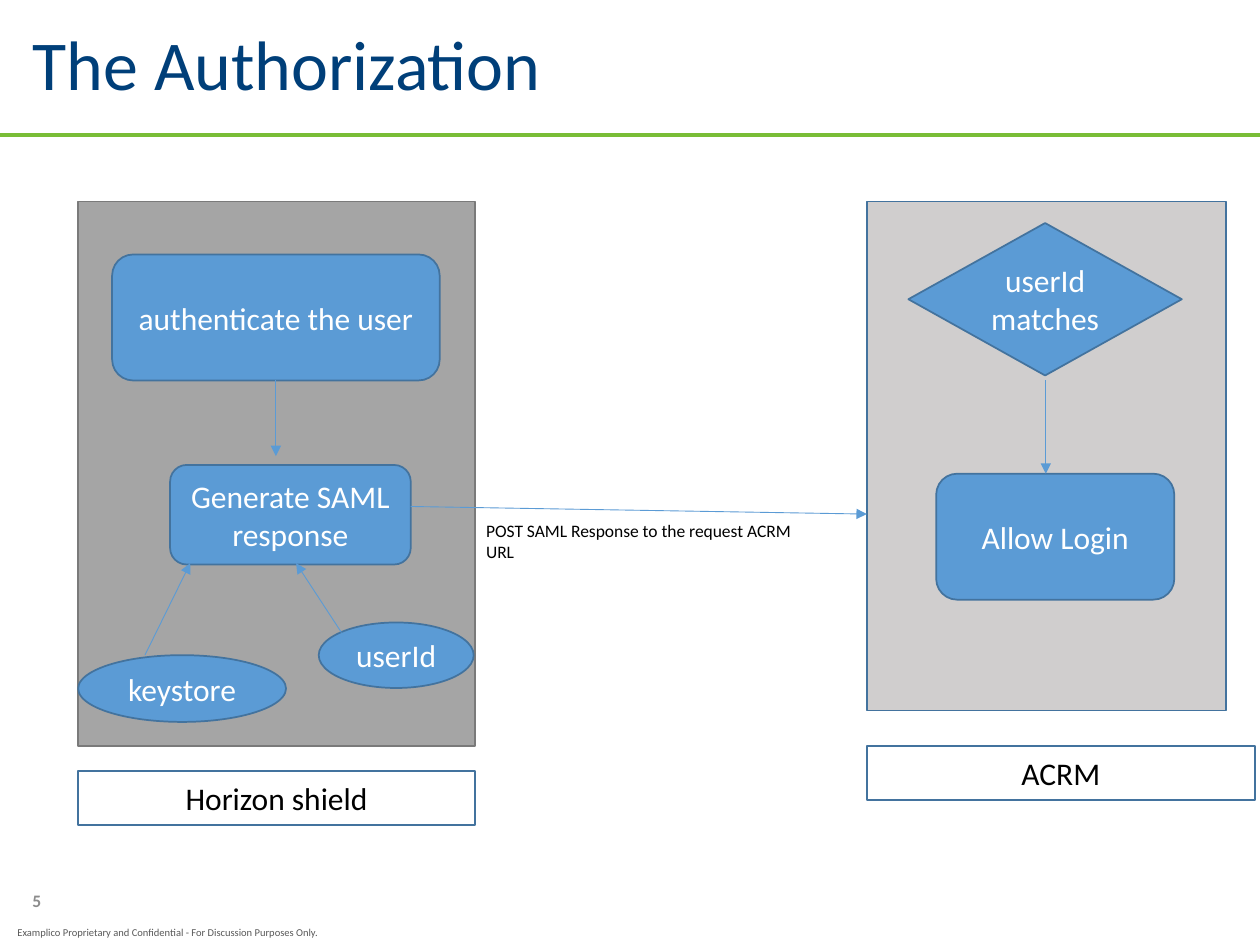
from lxml.etree import SubElement
from pptx import Presentation
from pptx.dml.color import RGBColor
from pptx.enum.shapes import MSO_CONNECTOR, MSO_SHAPE
from pptx.enum.text import MSO_ANCHOR, PP_ALIGN
from pptx.oxml.ns import qn
from pptx.util import Inches, Pt

WHITE = RGBColor(0xFF, 0xFF, 0xFF)
BLACK = RGBColor(0, 0, 0)
NAVY = RGBColor(0x00, 0x3F, 0x79)
GREEN = RGBColor(0x79, 0xBD, 0x36)
BLUE = RGBColor(0x5B, 0x9B, 0xD5)
DARK_BLUE = RGBColor(0x43, 0x73, 0x9E)
GRAY = RGBColor(0xA5, 0xA5, 0xA5)
DARK_GRAY = RGBColor(0x7A, 0x7A, 0x7A)
LIGHT_GRAY = RGBColor(0xD0, 0xCE, 0xCE)
FOOTER_GRAY = RGBColor(0x59, 0x59, 0x59)
NUMBER_GRAY = RGBColor(0x8C, 0x8C, 0x8C)

LEFT_PANEL, RIGHT_PANEL, PANEL_TOP = 0.62, 6.88, 1.6


class FlowPage:
    font_name = "Calibri"

    def __init__(self, page):
        self.page = page

    def set_text(self, frame, text, size, color, align=PP_ALIGN.LEFT, bold=False):
        frame.text = text
        for para in frame.paragraphs:
            para.alignment = align
            para.font.name = self.font_name
            para.font.size = Pt(size)
            para.font.color.rgb = color
            para.font.bold = bold

    def title(self, text, *place):
        box = self.page.shapes.title
        box.left, box.top, box.width, box.height = map(Inches, place)
        frame = box.text_frame
        self.set_text(frame, text, 40, NAVY)
        frame.vertical_anchor = MSO_ANCHOR.MIDDLE
        frame.paragraphs[0].line_spacing = 0.9

    def label(self, text, place, size, color, align=PP_ALIGN.LEFT, bold=False,
              wrap=True, anchor=MSO_ANCHOR.TOP):
        frame = self.page.shapes.add_textbox(*map(Inches, place)).text_frame
        frame.word_wrap = wrap
        frame.vertical_anchor = anchor
        self.set_text(frame, text, size, color, align, bold)

    def shape(self, kind, *place, text="", fill=BLUE, line=DARK_BLUE, color=WHITE):
        shape = self.page.shapes.add_shape(kind, *map(Inches, place))
        shape.shadow.inherit = False
        shape.fill.solid()
        shape.fill.fore_color.rgb = fill
        shape.line.color.rgb = line
        shape.line.width = Pt(1)
        if text:
            shape.text_frame.vertical_anchor = MSO_ANCHOR.MIDDLE
            self.set_text(shape.text_frame, text, 18, color, PP_ALIGN.CENTER)
        return shape

    def line(self, *ends, color=BLUE, width=0.5):
        line = self.page.shapes.add_connector(MSO_CONNECTOR.STRAIGHT, *map(Inches, ends))
        line.line.color.rgb = color
        line.line.width = Pt(width)
        SubElement(line._element.spPr, qn("a:effectLst"))
        return line

    def arrow(self, *ends):
        arrow = self.line(*ends)
        outline = arrow._element.spPr.find(qn("a:ln"))
        SubElement(outline, qn("a:tailEnd"), type="triangle")
        return arrow


def main():
    deck = Presentation()
    deck.slide_width, deck.slide_height = Inches(10), Inches(7.5)
    flow = FlowPage(deck.slides.add_slide(deck.slide_layouts[5]))

    flow.line(0, 1.07, 10, 1.07, color=GREEN, width=2.25)
    flow.label("Examplico Proprietary and Confidential - For Discussion Purposes Only.",
               (0, 7.3, 2.66, 0.2), 6, FOOTER_GRAY, align=PP_ALIGN.CENTER)
    flow.title("The Authorization", 0.16, 0.19, 9.37, 0.7)
    flow.label("5", (0.16, 6.95, 0.46, 0.4), 10, NUMBER_GRAY, bold=True,
               anchor=MSO_ANCHOR.MIDDLE)

    # Identity provider
    flow.shape(MSO_SHAPE.RECTANGLE, LEFT_PANEL, PANEL_TOP, 3.15, 4.32,
               fill=GRAY, line=DARK_GRAY)
    authenticate = flow.shape(MSO_SHAPE.ROUNDED_RECTANGLE, 0.89, 2.02, 2.6, 1,
                              text="authenticate the user")
    flow.shape(MSO_SHAPE.ROUNDED_RECTANGLE, 1.35, 3.69, 1.91, 0.79,
               text="Generate SAML response")
    flow.shape(MSO_SHAPE.RECTANGLE, LEFT_PANEL, 6.12, 3.15, 0.43,
               text="Horizon shield", fill=WHITE, color=BLACK)
    flow.arrow(2.19, 3.02, 2.19, 3.62).begin_connect(authenticate, 2)
    flow.shape(MSO_SHAPE.OVAL, LEFT_PANEL, 5.2, 1.65, 0.53, text="keystore")
    flow.arrow(1.15, 5.2, 1.51, 4.47)
    flow.shape(MSO_SHAPE.OVAL, 2.53, 4.94, 1.23, 0.52, text="userId")
    flow.arrow(2.71, 5.02, 2.35, 4.47)

    # Service provider
    flow.shape(MSO_SHAPE.RECTANGLE, RIGHT_PANEL, PANEL_TOP, 2.85, 4.04, fill=LIGHT_GRAY)
    flow.shape(MSO_SHAPE.ROUNDED_RECTANGLE, 7.43, 3.76, 1.89, 1, text="Allow Login")
    flow.arrow(8.3, 3.02, 8.3, 3.76)
    flow.shape(MSO_SHAPE.DIAMOND, 7.21, 1.77, 2.17, 1.21, text="userId\nmatches")
    flow.shape(MSO_SHAPE.RECTANGLE, RIGHT_PANEL, 5.92, 3.08, 0.43,
               text="ACRM", fill=WHITE, color=BLACK)

    # Response sent between the two
    flow.arrow(3.26, 4.02, RIGHT_PANEL, 4.08)
    flow.label("POST SAML Response to the request ACRM URL", (3.76, 4.08, 2.86, 0.27),
               10, BLACK, wrap=False)

    deck.save("out.pptx")


if __name__ == "__main__":
    main()
